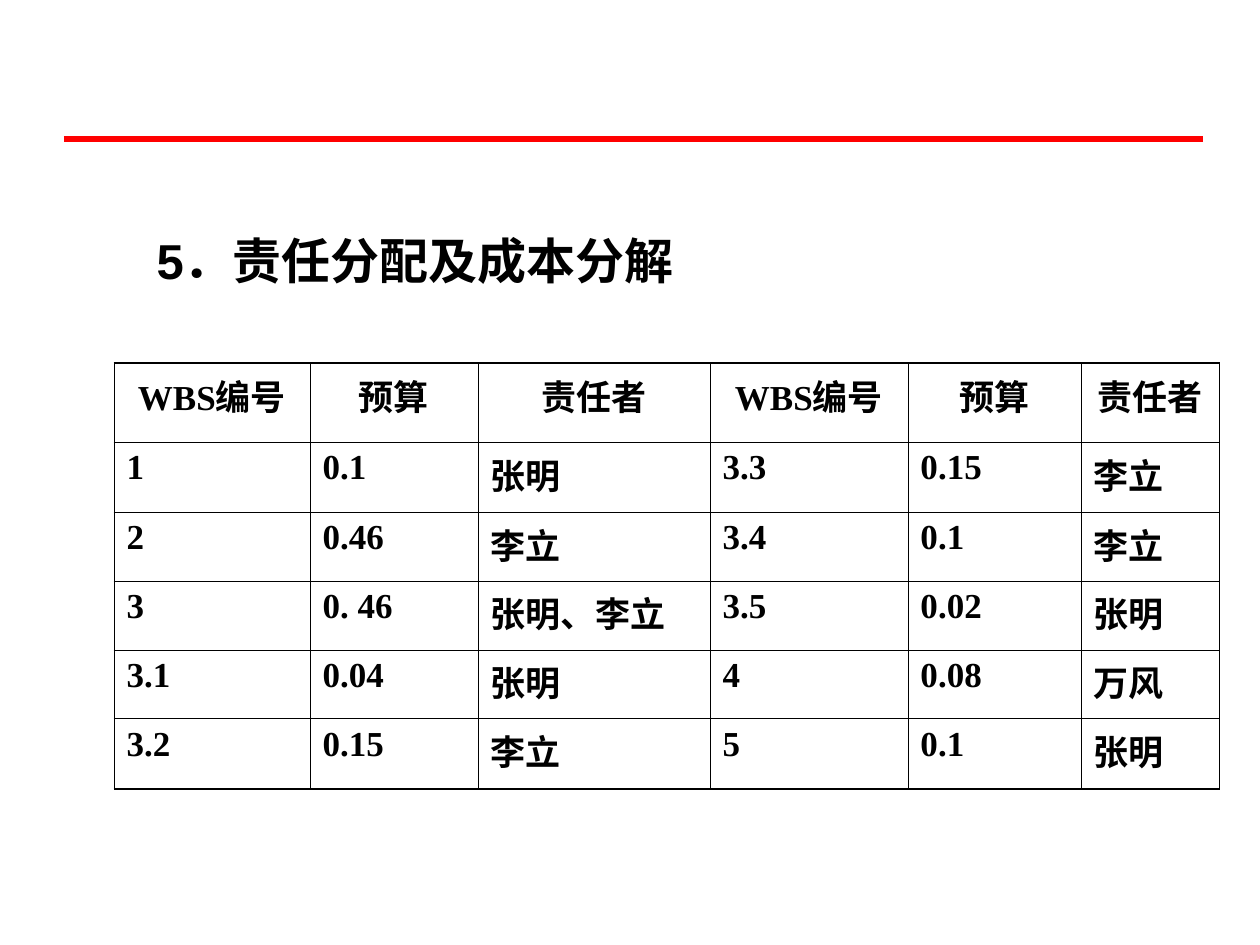
from lxml.etree import SubElement
from pptx import Presentation
from pptx.dml.color import RGBColor
from pptx.enum.shapes import MSO_CONNECTOR
from pptx.enum.text import MSO_ANCHOR, MSO_AUTO_SIZE, PP_ALIGN
from pptx.oxml.ns import qn
from pptx.util import Emu, Pt

SCALE = 914400 / 126
BLACK = RGBColor(0x00, 0x00, 0x00)
WHITE = RGBColor(0xFF, 0xFF, 0xFF)
RED = RGBColor(0xFF, 0x00, 0x00)

TITLE_FONT = {"name": "Arial", "size": Pt(28), "bold": True}
CELL_FONT = {"name": "Times New Roman", "size": Pt(20), "bold": True}

HEADER = ["WBS编号", "预算", "责任者"] * 2
ROWS = [
    HEADER,
    ["1", "0.1", "张明", "3.3", "0.15", "李立"],
    ["2", "0.46", "李立", "3.4", "0.1", "李立"],
    ["3", "0. 46", "张明、李立", "3.5", "0.02", "张明"],
    ["3.1", "0.04", "张明", "4", "0.08", "万风"],
    ["3.2", "0.15", "李立", "5", "0.1", "张明"],
]
WIDTHS = [196, 168, 232, 198, 173, 138]
HEIGHTS = [79, 70, 69, 69, 69, 70]


def px(n):
    return Emu(round(n * SCALE))


def write(p, text, align, hang, font):
    pPr = p._p.get_or_add_pPr()
    pPr.set("marL", str(px(hang)))
    pPr.set("indent", str(-px(hang)))
    p.alignment = align
    r = p.add_run()
    r.text = text
    for key, value in font.items():
        setattr(r.font, key, value)
    r.font.color.rgb = BLACK


prs = Presentation()
prs.slide_width, prs.slide_height = px(1260), px(945)
s = prs.slides.add_slide(prs.slide_layouts[5])

rule = s.shapes.add_connector(MSO_CONNECTOR.STRAIGHT, px(64), px(139), px(1203), px(139))
rule.line.color.rgb = RED
rule.line.width = Pt(3)
SubElement(rule._element.spPr, qn("a:effectLst"))

title = s.shapes.title
title.left, title.top, title.width, title.height = px(144), px(224), px(873), px(72)
tf = title.text_frame
tf.word_wrap = True
tf.auto_size = MSO_AUTO_SIZE.SHAPE_TO_FIT_TEXT
tf.vertical_anchor = MSO_ANCHOR.TOP
write(tf.paragraphs[0], "5．责任分配及成本分解", PP_ALIGN.JUSTIFY, 63, TITLE_FONT)

frame = s.shapes.add_table(
    len(ROWS), len(WIDTHS), px(114), px(363), px(sum(WIDTHS)), px(sum(HEIGHTS))
)
table = frame.table
table.first_row = False
table.horz_banding = False
for column, width in zip(table.columns, WIDTHS):
    column.width = px(width)
for row, height in zip(table.rows, HEIGHTS):
    row.height = px(height)

last_row, last_col = len(ROWS) - 1, len(WIDTHS) - 1
for i, values in enumerate(ROWS):
    for j, text in enumerate(values):
        cell = table.cell(i, j)
        align = PP_ALIGN.CENTER if i == 0 else PP_ALIGN.LEFT
        write(cell.text_frame.paragraphs[0], text, align, 47, CELL_FONT)
        borders = {
            "a:lnL": 0.34 if j == 0 else 0.45,
            "a:lnR": 0.34 if j == last_col else 0.45,
            "a:lnT": 0.96 if i == 0 else 0.45,
            "a:lnB": 0.96 if i == last_row else 0.45,
        }
        tcPr = cell._tc.get_or_add_tcPr()
        for tag, width in borders.items():
            ln = SubElement(tcPr, qn(tag), w=str(Pt(width)))
            fill = SubElement(ln, qn("a:solidFill"))
            SubElement(fill, qn("a:srgbClr"), val=str(BLACK))
        cell.fill.solid()
        cell.fill.fore_color.rgb = WHITE

prs.save("out.pptx")
